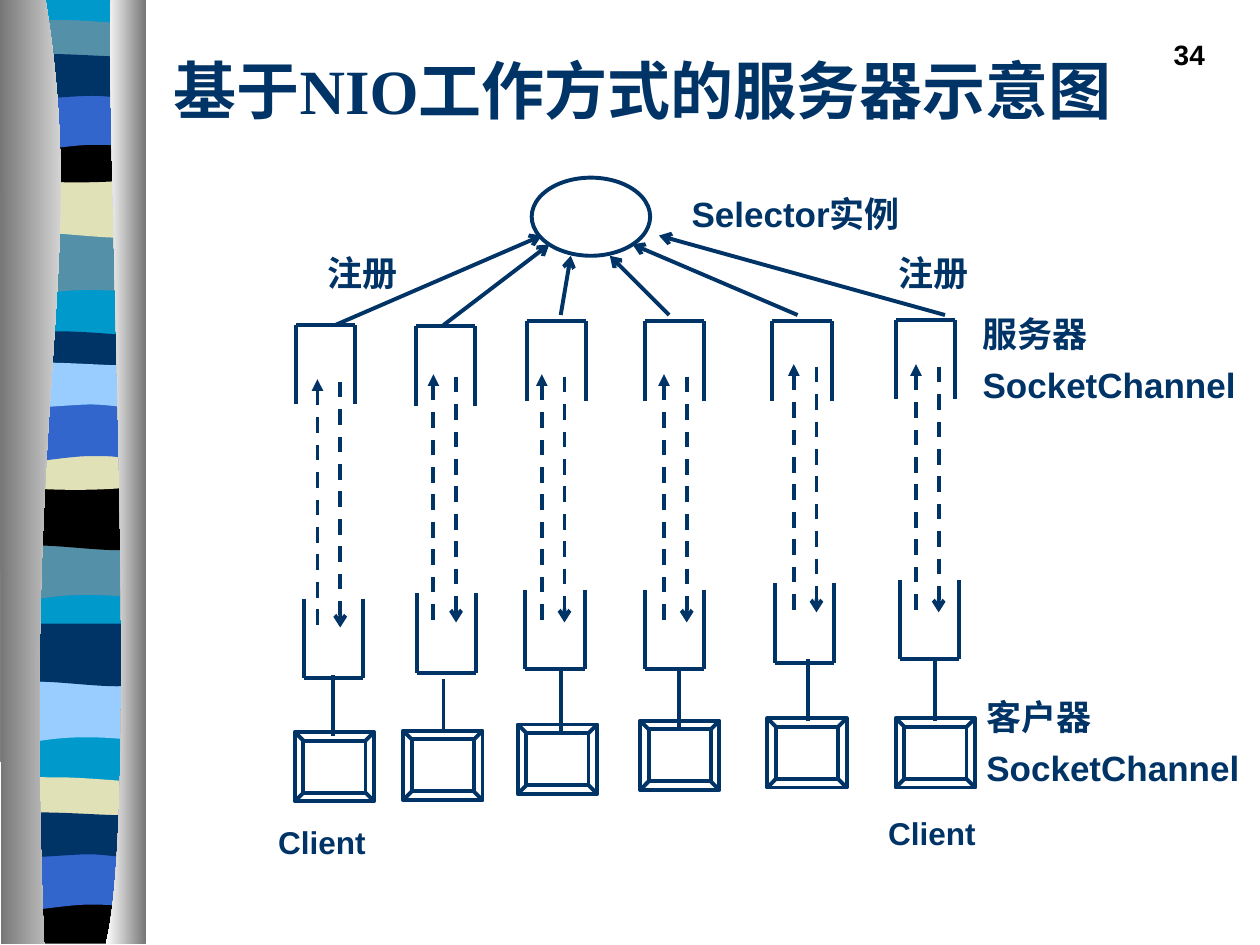
import pptx
import pptx.util
import pptx.dml.color
import pptx.enum.dml
import pptx.enum.shapes
import pptx.enum.text
import pptx.oxml
import pptx.oxml.ns

PX = 9144  # EMU in one px, 100 px to the inch
HEX = {"ink": "003366", "sky": "0099CC", "teal": "5490A8", "blue": "3366CC",
       "black": "000000", "sand": "E1E1B7", "pale": "99CCFF",
       "white": "FFFFFF", "gray": "767676"}
SHAPE = pptx.enum.shapes.MSO_SHAPE
ALIGN = pptx.enum.text.PP_ALIGN
MID = pptx.enum.text.MSO_ANCHOR.MIDDLE


def tint(name):
    return pptx.dml.color.RGBColor.from_string(HEX[name])


def emu(*sizes):
    return [round(size * PX) for size in sizes]


def node(tag, extra=""):
    return pptx.oxml.parse_xml(f'<a:{tag} {pptx.oxml.ns.nsdecls("a")} {extra}/>')


def text(slide, box, lines, size, face="Arial", color="ink", align=ALIGN.LEFT,
         gap=0, anchor=None):
    frame = slide.shapes.add_textbox(*emu(*box)).text_frame
    frame.word_wrap = True
    if anchor is not None:
        frame.vertical_anchor = anchor
    frame.text = "\n".join(lines)
    for i, para in enumerate(frame.paragraphs):
        para.alignment = align
        para.space_before = pptx.util.Pt(gap if i else 0)
        font = para.font
        font.name, font.size, font.bold = face, pptx.util.Pt(size), True
        font.color.rgb = tint(color)


def line(slide, start, end, tip=None, dash=False):
    kind = pptx.enum.shapes.MSO_CONNECTOR.STRAIGHT
    link = slide.shapes.add_connector(kind, *emu(*start, *end))
    link.line.color.rgb = tint("ink")
    link.line.width = pptx.util.Pt(2.25)
    if dash:
        link.line.dash_style = pptx.enum.dml.MSO_LINE.DASH
    props = link._element.spPr
    if tip:
        props.find(pptx.oxml.ns.qn("a:ln")).append(node("tailEnd", f'type="{tip}"'))
    props.append(node("effectLst"))


def frame(slide, kind, box):
    shape = slide.shapes.add_shape(kind, *emu(*box))
    shape.shadow.inherit = False
    shape.fill.background()
    shape.line.color.rgb = tint("ink")
    shape.line.width = pptx.util.Pt(2.25)


def outline(slide, left, top, parts):
    """Closed outline: a part of two numbers is a corner, of six a curve."""
    spots = [emu(left + part[i], top + part[i + 1])
             for part in parts for i in range(0, len(part), 2)]
    build = slide.shapes.build_freeform(*spots[0], scale=1.0)
    build.add_line_segments(spots[1:], close=True)
    shape = build.convert_to_shape()
    shape.shadow.inherit = False
    shape.line.fill.background()
    # Join each three points of a curve into one Bezier segment
    legs = iter(list(shape._element.iter(pptx.oxml.ns.qn("a:lnTo"))))
    for part in parts[1:]:
        leg = next(legs)
        if len(part) == 6:
            bend = node("cubicBezTo")
            leg.addprevious(bend)
            for piece in (leg, next(legs), next(legs)):
                bend.append(piece[0])
                piece.getparent().remove(piece)
    return shape


# Band outlines, from the top right corner on
FORMS = {
    "base": [(105, 0), (105, 748), (0, 748), (0, 0)],
    "dip": [(106, 0), (106, 47), (32, 38, 18, 54, 0, 47), (0, 0)],
    "rise": [(106, 0), (106, 47), (88, 55, 33, 42, 0, 47), (0, 0)],
    "dome": [(106, 5), (106, 29), (88, 33, 18, 33, 0, 29), (0, 5),
             (7, 0, 23, 1, 41, 1), (59, 1, 92, 4, 106, 5)],
    "sag": [(106, 0), (106, 33), (88, 38, 18, 38, 0, 33), (0, 0),
            (65, 5, 84, 0, 106, 0)],
    "arch": [(106, 0), (106, 47), (90, 41, 83, 41, 65, 41),
             (48, 41, 16, 47, 0, 47), (0, 0)],
    "roll": [(106, 5), (106, 36), (99, 41, 83, 36, 65, 36),
             (48, 36, 11, 41, 0, 36), (0, 5), (15, 0, 72, 5, 90, 5),
             (107, 5, 103, 5, 106, 5)],
    "foot": [(105, 0), (105, 37), (1, 37), (0, 0), (65, 5, 83, 0, 105, 0)]}
BANDS = [
    ("base", 9, -1, "sky"),
    ("dip", 8, 186, "teal"), ("rise", 9, 139, "sand"), ("dome", 9, 15, "teal"),
    ("sag", 8, 108, "black"), ("arch", 8, 74, "blue"), ("roll", 8, 40, "ink"),
    ("dip", 6, 428, "teal"), ("rise", 7, 387, "black"), ("dome", 7, 262, "ink"),
    ("sag", 7, 352, "sand"), ("arch", 7, 321, "blue"), ("roll", 7, 285, "pale"),
    ("dip", 5, 541, "pale"), ("rise", 6, 495, "ink"), ("dome", 6, 616, "sand"),
    ("foot", 6, 712, "black"), ("arch", 5, 677, "blue"), ("roll", 5, 642, "ink")]
STRIPS = [
    ([(36, -1), (71, 216, 17, 296, 35, 749), (1, 749), (0, -1)], "white", "gray"),
    ([(88, -1), (84, 125, 111, 646, 84, 749), (116, 749), (116, 0)], "gray", "white")]


def ribbon(slide, box):
    left, top = box[:2]
    # Wavy bands
    for form, x, y, color in BANDS:
        shape = outline(slide, left + x, top + y, FORMS[form])
        shape.fill.solid()
        shape.fill.fore_color.rgb = tint(color)
    # Metal strips on both sides
    for parts, first, last in STRIPS:
        fill = outline(slide, left, top, parts).fill
        fill.gradient()
        fill.gradient_angle = 180
        for stop, color, place in zip(fill.gradient_stops, (first, last), (0, 1)):
            stop.color.rgb = tint(color)
            stop.position = place


# Server end, client end, flow, client box, stem (x, y, end y), ray start, ray tip
LANES = [
    ((235, 258), (241, 475), (252, 301), (234, 581), (264, 536, 584), (266, 258), (430, 187)),
    ((330, 259), (331, 471), (344, 297), (320, 580), (352, 539, 580), (352, 258), (436, 194)),
    ((418, 255), (417, 468), (430, 297), (411, 575), (445, 531, 580), (445, 250), (453, 203)),
    ((512, 255), (512, 468), (527, 297), (508, 572), (539, 531, 580), (531, 250), (484, 203)),
    ((613, 255), (615, 463), (630, 289), (609, 570), (641, 523, 572), (633, 250), (502, 194)),
    ((711, 254), (714, 460), (727, 289), (711, 570), (742, 523, 572), (750, 250), (523, 187))]


def socket(slide, box, bar):
    """Two sides and one bar, at height bar."""
    x, y, width, height = box
    line(slide, (x, bar), (x + width, bar))
    for side in (x, x + width):
        line(slide, (side, y), (side, y + height))


def graph(slide, box):
    left, top = box[:2]

    def at(spot):
        return left + spot[0], top + spot[1]

    # Selector
    frame(slide, SHAPE.OVAL, (*at((422, 141)), 94, 62))
    for lane in LANES:
        server, client, flow, screen = map(at, lane[:4])
        stem, start, tip = lane[4:]
        # Channel ends
        socket(slide, (*server, 47, 63), server[1])
        socket(slide, (*client, 47, 63), client[1] + 63)
        # Data up and down
        x, y = flow
        line(slide, (x, y + 195), (x, y), "triangle", dash=True)
        line(slide, (x + 18, y + 2), (x + 18, y + 197), "arrow", dash=True)
        # Client with its stem
        frame(slide, SHAPE.BEVEL, (*screen, 63, 55))
        line(slide, at(stem[:2]), at((stem[0], stem[2])))
        # Link to the selector
        line(slide, at(start), at(tip), "arrow")

    # Labels
    labels = [((539, 148, 250, 44), ["Selector实例"], 20),
              ((770, 243, 227, 84), ["服务器", "SocketChannel"], 20),
              ((211, 648, 102, 40), ["Client"], 18),
              ((695, 641, 102, 40), ["Client"], 18),
              ((250, 195, 86, 44), ["注册"], 20),
              ((703, 195, 86, 44), ["注册"], 20),
              ((773, 547, 227, 84), ["客户器", "SocketChannel"], 20)]
    for spot, words, size in labels:
        text(slide, (*at(spot), *spot[2:]), words, size, gap=5)


def header(slide, box):
    left, top = box[:2]
    text(slide, (left + 630, top, 208, 50), ["34"], 16, color="black", align=ALIGN.RIGHT)
    text(slide, (left, top + 25, 850, 42), ["基于NIO工作方式的服务器示意图"], 36,
         face="Times New Roman", anchor=MID)


def main():
    deck = pptx.Presentation()
    deck.slide_width, deck.slide_height = emu(1000, 750)
    slide = deck.slides.add_slide(deck.slide_layouts[6])
    ribbon(slide, (0, 0, 116, 749))
    header(slide, (128, 25, 850, 67))
    graph(slide, (0, 0, 1000, 750))
    deck.save("out.pptx")


if __name__ == "__main__":
    main()
